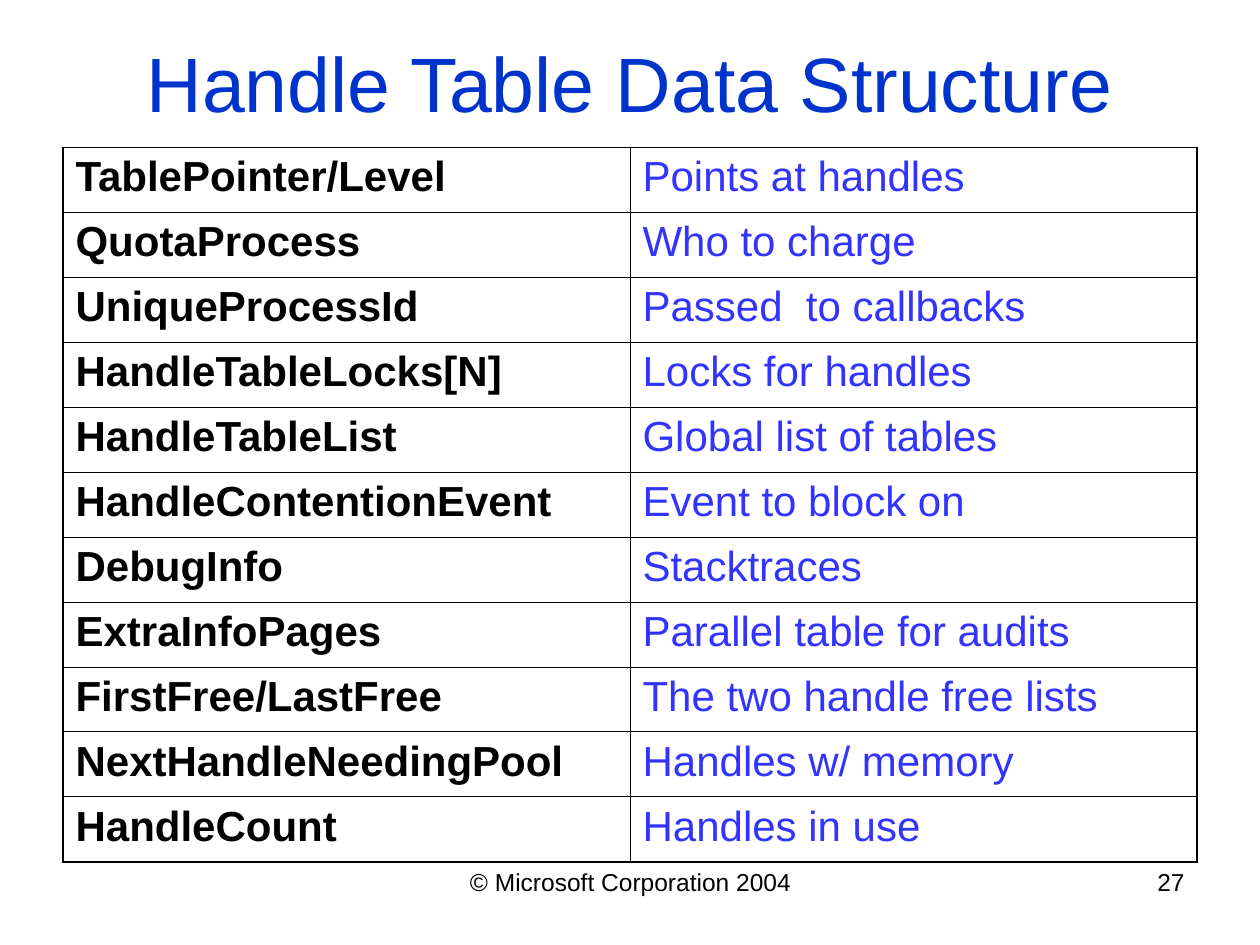
"""Build the handle table data structure slide."""
from typing import NamedTuple

from lxml import etree
from pptx import Presentation
from pptx import util as u
from pptx.dml.color import RGBColor
from pptx.enum import text
from pptx.oxml.ns import qn

BLACK, TITLE_BLUE, ROLE_BLUE = "000000", "0033CC", "3333FF"
OUTER, INNER = u.Pt(1.08), u.Pt(0.45)


class Field(NamedTuple):
    name: str
    role: str


class Label(NamedTuple):
    wording: str
    left: float
    top: float
    width: float
    height: float
    size: int
    colour: str
    align: text.PP_ALIGN
    anchor: text.MSO_ANCHOR = text.MSO_ANCHOR.TOP


FIELDS = [
    Field("TablePointer/Level", "Points at handles"),
    Field("QuotaProcess", "Who to charge"),
    Field("UniqueProcessId", "Passed  to callbacks"),
    Field("HandleTableLocks[N]", "Locks for handles"),
    Field("HandleTableList", "Global list of tables"),
    Field("HandleContentionEvent", "Event to block on"),
    Field("DebugInfo", "Stacktraces"),
    Field("ExtraInfoPages", "Parallel table for audits"),
    Field("FirstFree/LastFree", "The two handle free lists"),
    Field("NextHandleNeedingPool", "Handles w/ memory"),
    Field("HandleCount", "Handles in use"),
]

LABELS = [
    Label("Handle Table Data Structure", 0.5, 0.17, 9, 0.95, 44, TITLE_BLUE,
          text.PP_ALIGN.CENTER, text.MSO_ANCHOR.MIDDLE),
    Label("© Microsoft Corporation 2004", 3.42, 6.83, 3.17, 0.52, 14, BLACK,
          text.PP_ALIGN.CENTER),
    Label("27", 7.17, 6.83, 2.33, 0.52, 14, BLACK, text.PP_ALIGN.RIGHT),
]


def paint(target, colour: str) -> None:
    target.rgb = RGBColor.from_string(colour)


def write(frame, wording: str, size: int, colour: str, bold: bool = False):
    paragraph = frame.paragraphs[0]
    paragraph.text = wording
    font = paragraph.font
    font.name, font.size, font.bold = "Arial", u.Pt(size), bold
    paint(font.color, colour)
    return paragraph


def add_label(slide, label: Label) -> None:
    box = slide.shapes.add_textbox(u.Inches(label.left), u.Inches(label.top),
                                   u.Inches(label.width), u.Inches(label.height))
    frame = box.text_frame
    frame.word_wrap = True
    frame.vertical_anchor = label.anchor
    write(frame, label.wording, label.size, label.colour).alignment = label.align


def add_borders(cell, widths: dict[str, int]) -> None:
    properties = cell._tc.get_or_add_tcPr()
    for position, (side, width) in enumerate(widths.items()):
        line = etree.Element(qn(f"a:ln{side}"), w=str(width))
        fill = etree.SubElement(line, qn("a:solidFill"))
        etree.SubElement(fill, qn("a:srgbClr"), val=BLACK)
        properties.insert(position, line)


def add_field_table(slide, fields: list[Field]) -> None:
    table = slide.shapes.add_table(len(fields), 2, u.Inches(0.5), u.Inches(1.17),
                                   u.Inches(9), u.Inches(5.67)).table
    table.first_row = table.horz_banding = False
    for row, field in enumerate(fields):
        for column, wording in enumerate(field):
            cell = table.cell(row, column)
            is_name = column == 0
            write(cell.text_frame, wording, 24, BLACK if is_name else ROLE_BLUE, is_name)
            cell.fill.background()
            add_borders(cell, {
                "L": OUTER if is_name else INNER,
                "R": INNER if is_name else OUTER,
                "T": OUTER if row == 0 else INNER,
                "B": OUTER if row == len(fields) - 1 else INNER,
            })


def main() -> None:
    deck = Presentation()
    deck.slide_width, deck.slide_height = u.Inches(10), u.Inches(7.5)
    slide = deck.slides.add_slide(deck.slide_layouts[6])
    add_field_table(slide, FIELDS)
    for label in LABELS:
        add_label(slide, label)
    deck.save("out.pptx")


if __name__ == "__main__":
    main()
